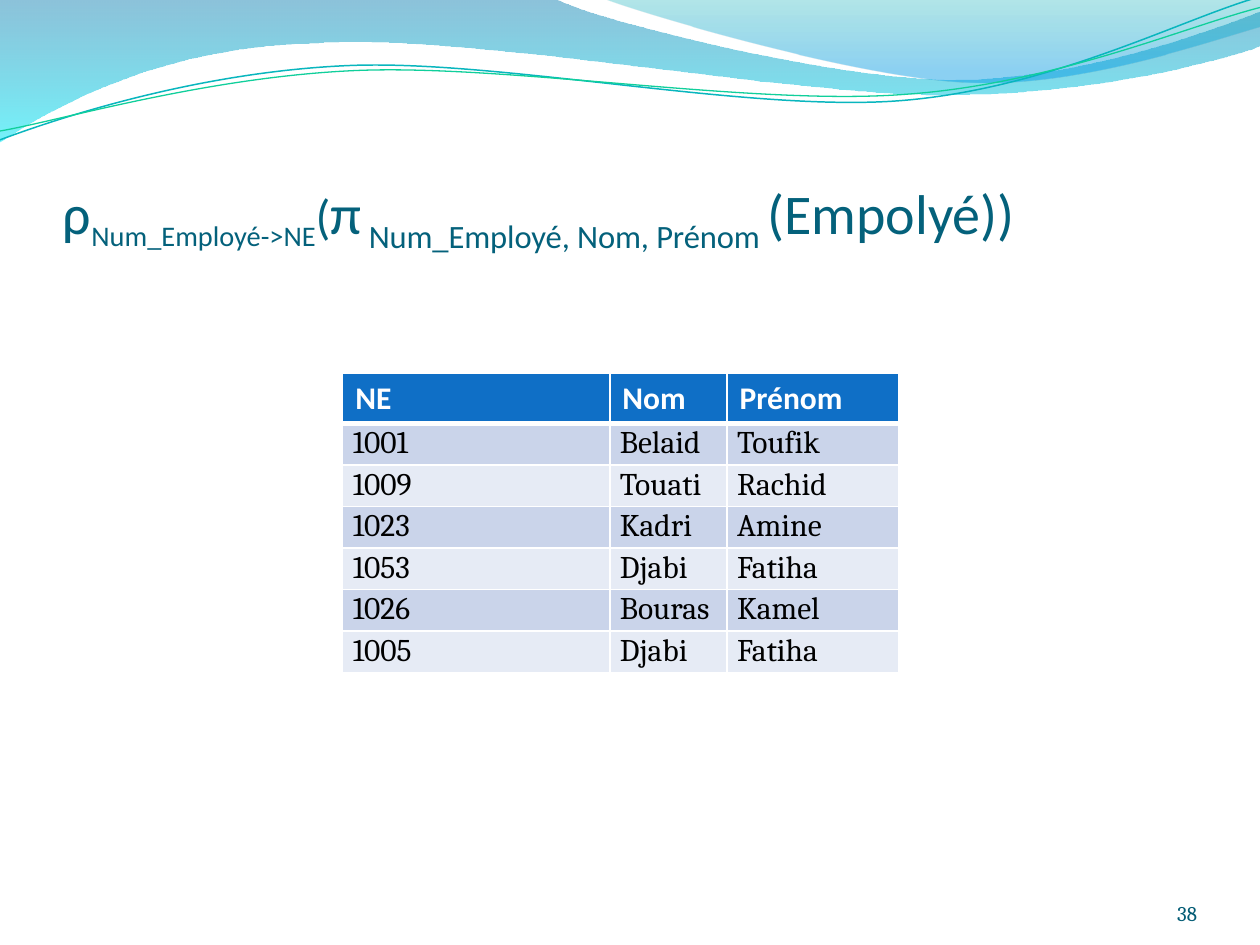
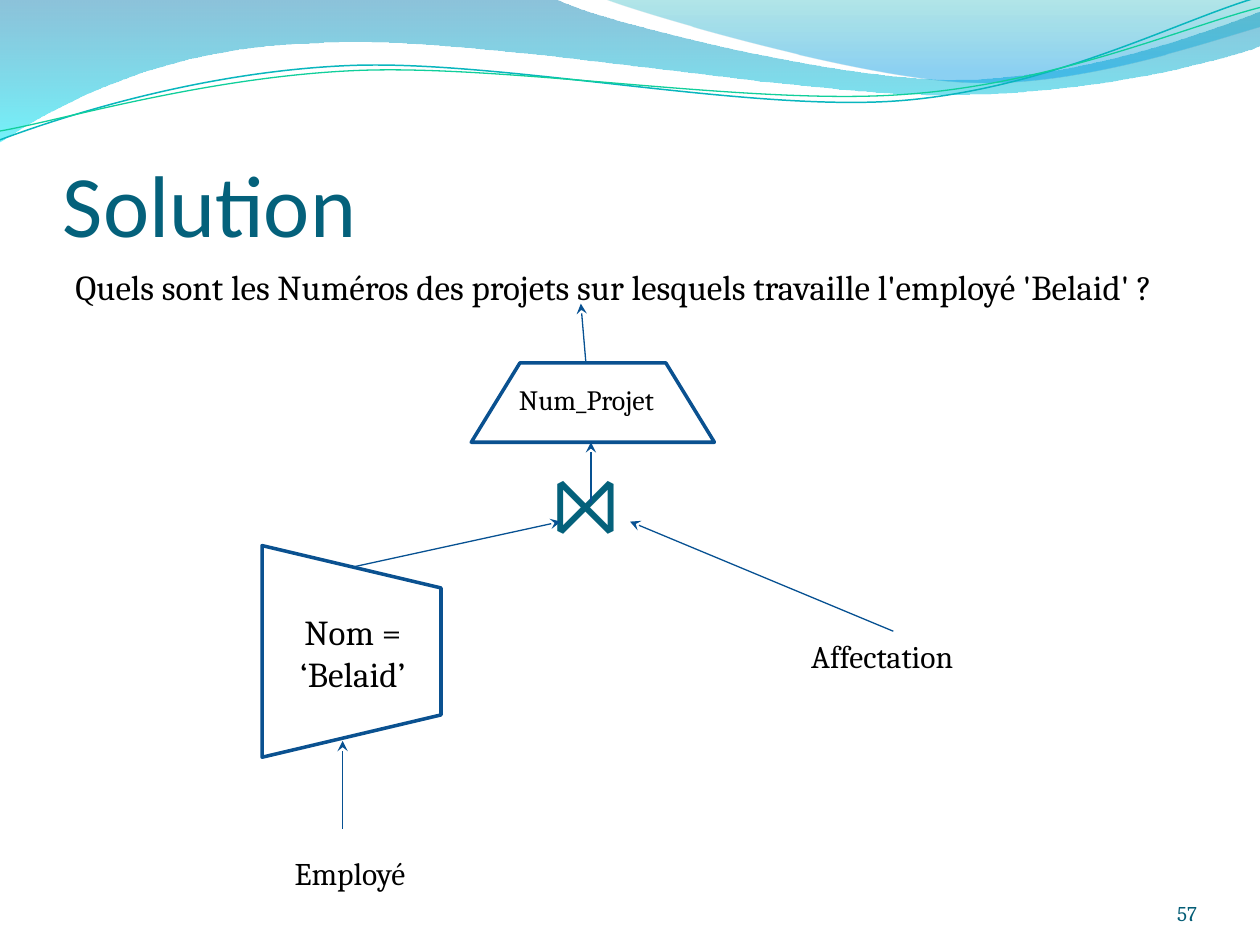
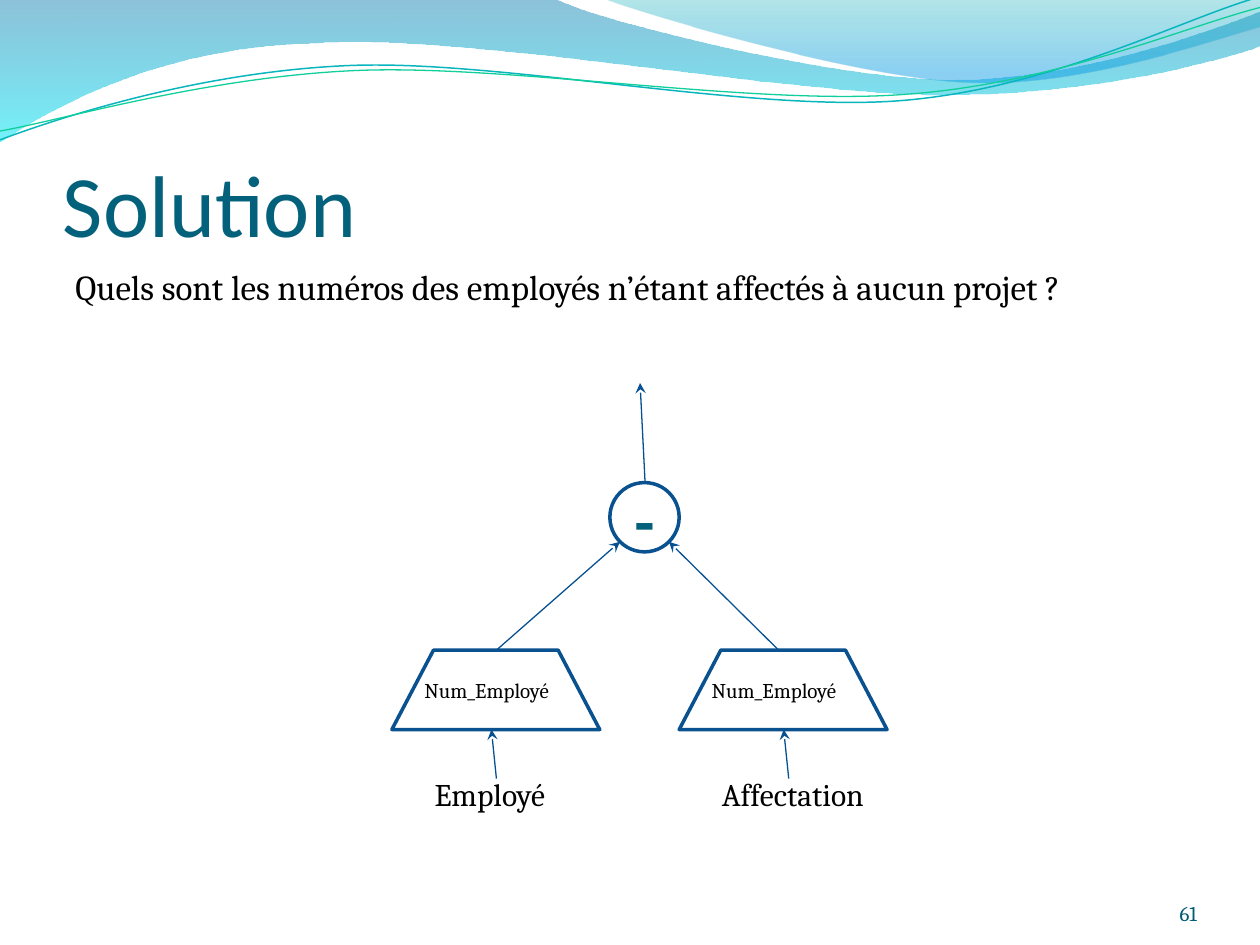
"""Three slides on relational algebra: a renamed projection and two query trees."""
import math
from dataclasses import dataclass
from typing import NamedTuple

from lxml import etree
from pptx import Presentation
from pptx import util as u
from pptx.dml.color import RGBColor
from pptx.enum import shapes, text
from pptx.oxml import ns


@dataclass(frozen=True)
class Theme:
    heading: str = "Calibri"
    body: str = "Cambria"
    title: str = "04617B"
    number: str = "035C75"
    ink: str = "000000"
    white: str = "FFFFFF"
    arrow: str = "075192"
    outline: str = "0A5190"
    header: str = "0F6FC6"
    bands: tuple[str, str] = ("CAD4EA", "E6EBF5")
    title_size: float = 50
    formula_size: float = 32
    subscript_size: float = 28
    question_size: float = 20
    attribute_size: float = 16
    relation_size: float = 18
    small_size: float = 12
    minus_size: float = 40
    join_size: float = 60


class Box(NamedTuple):
    left: float
    top: float
    width: float
    height: float


class Run(NamedTuple):
    words: str
    size: float
    baseline: int = 0


class Stop(NamedTuple):
    position: int
    color: str
    opacity: int


class Wave(NamedTuple):
    start: tuple
    steps: tuple
    stops: tuple = ()
    line: tuple = ()
    center: tuple = (0, 0)
    tilt: float = 0


class Operator(NamedTuple):
    box: Box
    turn: int
    label: str
    label_box: Box
    size: float
    align: str = "left"


class Arrow(NamedTuple):
    x1: float
    y1: float
    x2: float
    y2: float


T = Theme()
PAD = (0.1, 0.05, 0.1, 0.05)
ALIGN = {"left": text.PP_ALIGN.LEFT, "center": text.PP_ALIGN.CENTER,
         "right": text.PP_ALIGN.RIGHT}
ANCHOR = {"top": text.MSO_ANCHOR.TOP, "middle": text.MSO_ANCHOR.MIDDLE,
          "bottom": text.MSO_ANCHOR.BOTTOM}

WAVES = (
    Wave((0, 0), (
        (4.4, -0.01), (4.76, 0.17, 6.64, 0.63, 7.58, 0.63),
        (8.53, 0.63, 9.58, 0.26, 10, 0.09), (10.01, 0.36),
        (9.83, 0.44, 8.7, 0.76, 7.46, 0.75),
        (6.22, 0.75, 3.82, 0.28, 2.57, 0.34),
        (1.29, 0.36, 0.46, 0.83, -0.01, 1.13), (0, 0)),
        stops=(Stop(0, "0079AD", 45), Stop(100, "00E9F7", 55))),
    Wave((4.79, -0.01), (
        (5.09, 0.11, 6.82, 0.62, 7.69, 0.65),
        (8.56, 0.69, 9.61, 0.32, 10, 0.21), (10, 0), (4.79, -0.01)),
        stops=(Stop(0, "00ABB4", 30), Stop(80, "0099E4", 45), Stop(100, "0099E4", 45))),
    Wave((0, 1.11), (
        (0.48, 0.93, 1.58, 0.57, 2.77, 0.52),
        (3.95, 0.47, 5.93, 0.89, 7.13, 0.8),
        (8.33, 0.71, 9.38, 0.15, 9.98, -0.02)),
        line=("09B6BE", 0.85), center=(4.99, 0.58), tilt=-2.7),
    Wave((0, 1.04), (
        (0.47, 0.96, 1.64, 0.61, 2.83, 0.56),
        (4.03, 0.51, 5.97, 0.84, 7.17, 0.75),
        (8.36, 0.67, 9.41, 0.21, 10, 0.06)),
        line=("10CF9B", 0.75), center=(5, 0.59), tilt=-2.7),
)


def rgb(value: str) -> RGBColor:
    """Turn a hex value into a colour."""
    return RGBColor.from_string(value)


def place(box) -> list:
    """Convert a box to lengths."""
    return [u.Inches(side) for side in box]


def element(parent, tag: str, **attributes):
    """Append a drawing element to its parent."""
    return etree.SubElement(parent, ns.qn(f"a:{tag}"),
                            {name: str(value) for name, value in attributes.items()})


def write(frame, words, *, size=T.relation_size, font=T.body, color=T.ink, bold=False,
          align="left", anchor="top", insets=PAD, spacing=None) -> None:
    """Fill a text frame with one formatted paragraph."""
    frame.word_wrap = True
    frame.vertical_anchor = ANCHOR[anchor]
    (frame.margin_left, frame.margin_top,
     frame.margin_right, frame.margin_bottom) = place(insets)
    paragraph = frame.paragraphs[0]
    paragraph.alignment = ALIGN[align]
    if spacing:
        paragraph.line_spacing = spacing
    for part in [Run(words, size)] if isinstance(words, str) else words:
        run = paragraph.add_run()
        run.text = part.words
        run.font.size = u.Pt(part.size)
        run.font.name = font
        run.font.bold = bold
        run.font.color.rgb = rgb(color)
        if part.baseline:
            run.font._element.set("baseline", str(part.baseline * 1000))


def label(slide, box: Box, words, **style) -> None:
    """Add a text box."""
    write(slide.shapes.add_textbox(*place(box)).text_frame, words, **style)


def level(wave: Wave, point: tuple) -> tuple:
    """Give the place of a point before the wave is tilted."""
    angle = math.radians(-wave.tilt)
    cx, cy = wave.center
    dx, dy = point[0] - cx, point[1] - cy
    return (u.Inches(cx + dx * math.cos(angle) - dy * math.sin(angle)),
            u.Inches(cy + dx * math.sin(angle) + dy * math.cos(angle)))


def bend(ribbon, wave: Wave) -> None:
    """Join the three points of each cubic step into one curve."""
    segments = iter(ribbon._element.spPr.findall(".//" + ns.qn("a:lnTo")))
    for step in wave.steps:
        first = next(segments)
        if len(step) == 6:
            first.tag = ns.qn("a:cubicBezTo")
            for _ in range(2):
                following = next(segments)
                first.append(following[0])
                following.getparent().remove(following)


def add_wave(slide, wave: Wave) -> None:
    """Draw one wave of the header as a gradient area or a line."""
    points = [level(wave, step[i:i + 2]) for step in wave.steps for i in range(0, len(step), 2)]
    builder = slide.shapes.build_freeform(*level(wave, wave.start))
    builder.add_line_segments(points, close=bool(wave.stops))
    ribbon = builder.convert_to_shape()
    bend(ribbon, wave)
    ribbon.rotation = wave.tilt
    ribbon.shadow.inherit = False
    if wave.line:
        ribbon.fill.background()
        ribbon.line.color.rgb = rgb(wave.line[0])
        ribbon.line.width = u.Pt(wave.line[1])
        return
    ribbon.line.fill.background()
    ribbon.fill.gradient()
    ribbon.fill.gradient_angle = 270
    stop_list = ribbon._element.spPr.find(".//" + ns.qn("a:gsLst"))
    for old in list(stop_list):
        stop_list.remove(old)
    for stop in wave.stops:
        mark = element(stop_list, "gs", pos=stop.position * 1000)
        element(element(mark, "srgbClr", val=stop.color), "alpha", val=stop.opacity * 1000)


def add_page(deck, title, number: int, question: str = ""):
    """Add a slide with its waves, title, number and optional question."""
    slide = deck.slides.add_slide(deck.slide_layouts[6])
    for wave in WAVES:
        add_wave(slide, wave)
    label(slide, Box(0.5, 0.77, 9, 1.25), title, size=T.title_size, font=T.heading,
          color=T.title, anchor="bottom", insets=(0, 0.05, 0, 0))
    if question:
        label(slide, Box(0.5, 2.12, 9.22, 0.53), question, size=T.question_size, spacing=0.8)
    label(slide, Box(8.67, 6.95, 0.83, 0.4), str(number), size=T.small_size,
          color=T.number, align="right", anchor="bottom", insets=(0, 0, 0, 0))
    return slide


def add_node(slide, preset, box: Box, turn: int = 0):
    """Draw the outline of an operator."""
    node = slide.shapes.add_shape(preset, *place(box))
    node.shadow.inherit = False
    node.rotation = turn
    node.fill.solid()
    node.fill.fore_color.rgb = rgb(T.white)
    node.line.color.rgb = rgb(T.outline)
    node.line.width = u.Pt(2)
    return node


def add_operator(slide, operator: Operator) -> None:
    """Draw a selection or projection with its label."""
    add_node(slide, shapes.MSO_SHAPE.FLOWCHART_MANUAL_OPERATION, operator.box, operator.turn)
    label(slide, operator.label_box, operator.label, size=operator.size, align=operator.align,
          anchor="middle" if operator.align == "center" else "top")


def add_arrow(slide, arrow: Arrow) -> None:
    """Draw an arrow between two steps of a query."""
    link = slide.shapes.add_connector(shapes.MSO_CONNECTOR.STRAIGHT, *place(arrow))
    link.line.color.rgb = rgb(T.arrow)
    link.line.width = u.Pt(0.75)
    element(link.line._get_or_add_ln(), "tailEnd", type="stealth")
    element(link._element.spPr, "effectLst")


def style_cell(cell, fill: str, top: float, bottom: float) -> None:
    """Set the fill and white borders of a cell."""
    cell.fill.solid()
    cell.fill.fore_color.rgb = rgb(fill)
    properties = cell._tc.get_or_add_tcPr()
    for index, (side, width) in enumerate(zip("LRTB", (1, 1, top, bottom))):
        border = element(properties, f"ln{side}", w=u.Pt(width))
        element(element(border, "solidFill"), "srgbClr", val=T.white)
        properties.insert(index, border)


def add_relation(slide, rows: list, widths: tuple, left: float, top: float) -> None:
    """Draw a relation as a table with a header and banded rows."""
    height = 0.33
    box = Box(left, top, sum(widths), height * len(rows))
    table = slide.shapes.add_table(len(rows), len(widths), *place(box)).table
    table.first_row = table.horz_banding = False
    for column, width in zip(table.columns, widths):
        column.width = u.Inches(width)
    for r, row in enumerate(rows):
        table.rows[r].height = u.Inches(height)
        for c, value in enumerate(row):
            cell = table.cell(r, c)
            if r == 0:
                write(cell.text_frame, value, font=T.heading, color=T.white, bold=True)
                insets = PAD
            else:
                write(cell.text_frame, value, spacing=1.05)
                insets = (0.08, 0, 0.07, 0)
            (cell.margin_left, cell.margin_top,
             cell.margin_right, cell.margin_bottom) = place(insets)
            style_cell(cell, T.bands[(r - 1) % 2] if r else T.header,
                       top=3 if r == 1 else 1, bottom=1 if r else 3)


def renaming_page(deck) -> None:
    """Show the renamed projection of the employees."""
    big, small = T.formula_size, T.subscript_size
    formula = [Run("ρ", big), Run("Num_Employé->NE", small, -25), Run("(", small),
               Run("π", big), Run(" Num_Employé, Nom, Prénom ", big, -25),
               Run("(Empolyé))", big)]
    employees = [
        ("NE", "Nom", "Prénom"),
        ("1001", "Belaid", "Toufik"),
        ("1009", "Touati", "Rachid"),
        ("1023", "Kadri", "Amine"),
        ("1053", "Djabi", "Fatiha"),
        ("1026", "Bouras", "Kamel"),
        ("1005", "Djabi", "Fatiha"),
    ]
    add_relation(add_page(deck, formula, 38), employees, (2.12, 0.93, 1.36), 2.72, 2.96)


def join_page(deck) -> None:
    """Show the query tree with a selection, a join and a projection."""
    slide = add_page(deck, "Solution", 57, "Quels sont les Numéros des projets sur lesquels "
                                           "travaille l'employé 'Belaid' ?")
    add_operator(slide, Operator(Box(1.95, 4.46, 1.68, 1.42), 270, "Nom = ‘Belaid’",
                                 Box(2.09, 4.67, 1.42, 1.01), T.question_size, "center"))
    add_operator(slide, Operator(Box(3.74, 2.88, 1.93, 0.63), 180, "Num_Projet",
                                 Box(4.02, 2.99, 1.42, 0.37), T.attribute_size))
    label(slide, Box(4.29, 3.36, 0.94, 1.11), "⋈", size=T.join_size, color=T.title)
    label(slide, Box(2.24, 6.73, 1.42, 0.49), "Employé")
    label(slide, Box(6.34, 5.01, 1.5, 0.4), "Affectation")
    for arrow in (Arrow(2.72, 6.58, 2.72, 5.88), Arrow(2.8, 4.5, 4.45, 4.14),
                  Arrow(7.09, 5.01, 5, 4.14), Arrow(4.69, 3.99, 4.69, 3.51),
                  Arrow(4.65, 2.88, 4.61, 2.41)):
        add_arrow(slide, arrow)


def difference_page(deck) -> None:
    """Show the query tree with the difference of two projections."""
    slide = add_page(deck, "Solution", 61,
                     "Quels sont les numéros des employés n’étant affectés à aucun projet ?")
    minus = add_node(slide, shapes.MSO_SHAPE.OVAL, Box(4.84, 3.83, 0.55, 0.55))
    write(minus.text_frame, "-", size=T.minus_size, color=T.title, bold=True,
          align="center", anchor="middle")
    branches = (("Employé", 3.11, 1.18, 3.94, 3.94, 4.92),
                ("Affectation", 5.39, 1.42, 6.26, 6.18, 5.31))
    for relation, left, width, entry, leave, target in branches:
        add_operator(slide, Operator(Box(left, 5.16, 1.65, 0.63), 180, "Num_Employé",
                                     Box(left + 0.16, 5.33, 1.34, 0.3), T.small_size))
        label(slide, Box(left + 0.24, 6.1, width, 0.4), relation)
        add_arrow(slide, Arrow(entry, 6.18, entry - 0.04, 5.79))
        add_arrow(slide, Arrow(leave, 5.16, target, 4.3))
    add_arrow(slide, Arrow(5.12, 3.83, 5.08, 3.04))


def main() -> None:
    """Build and save the slides."""
    deck = Presentation()
    deck.slide_width, deck.slide_height = u.Inches(10), u.Inches(7.5)
    renaming_page(deck)
    join_page(deck)
    difference_page(deck)
    deck.save("out.pptx")


if __name__ == "__main__":
    main()
